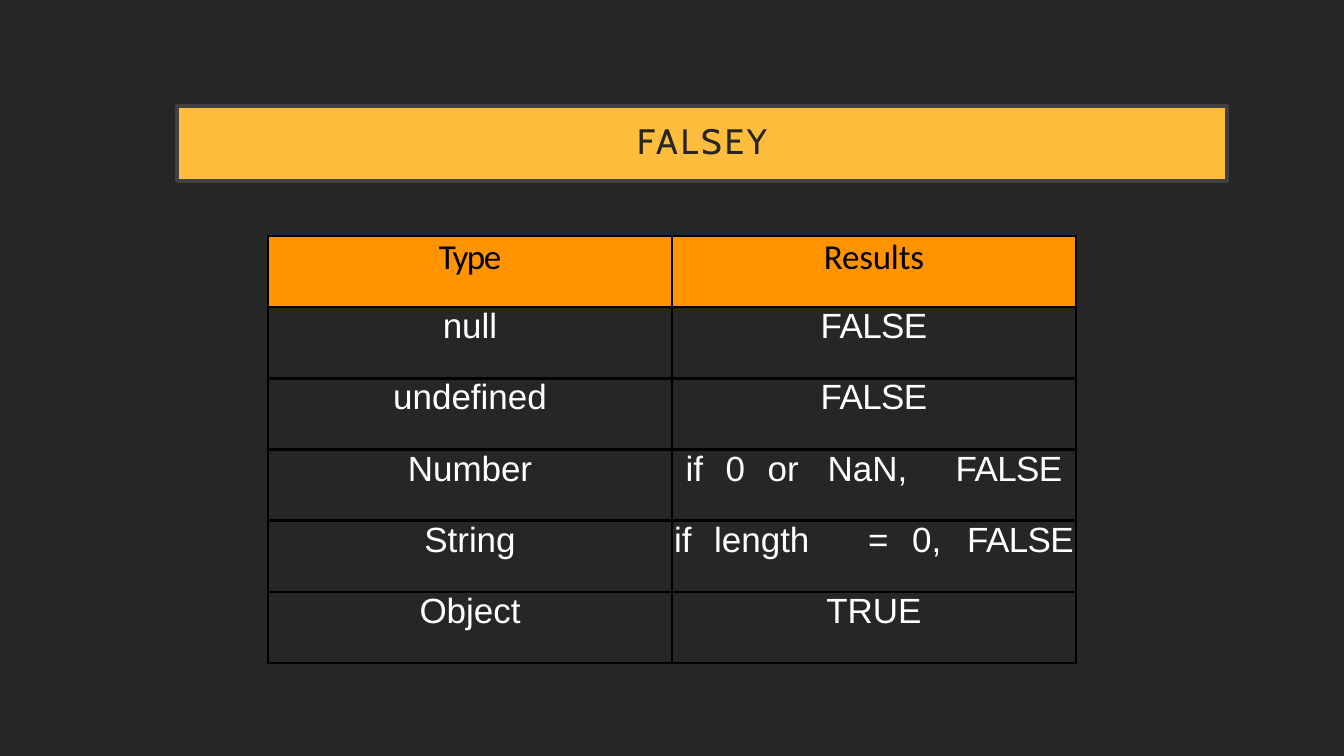
from lxml import etree
from pptx import Presentation
from pptx.dml.color import RGBColor
from pptx.enum.text import MSO_ANCHOR, MSO_AUTO_SIZE, PP_ALIGN
from pptx.oxml.ns import qn
from pptx.util import Pt

CENTER = PP_ALIGN.CENTER
MIDDLE = MSO_ANCHOR.MIDDLE
NO_AUTOFIT = MSO_AUTO_SIZE.NONE
TITLE_ONLY = 5
EMU_PER_INCH, PX_PER_INCH = 914400, 100.8

DARK, BLACK, WHITE = "262626", "000000", "FFFFFF"
BANNER, BANNER_EDGE, HEADER = "FFBD3D", "404040", "FF9300"

# Each result is a list of runs
FALSEY_ROWS = [
    ("Type", ["Results"]),
    ("null", ["FALSE"]),
    ("undefined", ["FALSE"]),
    ("Number", ["if\t0\tor\tNaN,\t", "FALSE"]),
    ("String", ["if\tlength\t=\t0,\t", "FALSE"]),
    ("Object", ["TRUE"]),
]
TAB_STOPS = {"Number": [40, 82, 142, 270], "String": [40, 194, 238, 293]}
# Letter spacing in hundredths of a point
TRACKING = {"FALSEY": 200, "Type": -110, "Results": -10, "FALSE": -40}


def px(length):
    return round(length * EMU_PER_INCH / PX_PER_INCH)


def rgb(value):
    return RGBColor.from_string(value)


def style_run(run, font_name, size, color):
    run.font.name = font_name
    run.font.size = Pt(size)
    run.font.color.rgb = rgb(color)
    run.font.bold = False
    run.font._element.set("spc", str(TRACKING.get(run.text, 0)))


def add_tab_stops(paragraph, stops):
    tab_list = etree.SubElement(paragraph._p.get_or_add_pPr(), qn("a:tabLst"))
    for stop in stops:
        etree.SubElement(tab_list, qn("a:tab"), pos=str(px(stop)), algn="l")


def add_borders(cell, color, width):
    """Borders come ahead of the fill in the cell properties."""
    properties = cell._tc.get_or_add_tcPr()
    for index, side in enumerate(("lnL", "lnR", "lnT", "lnB")):
        border = etree.Element(qn(f"a:{side}"), w=str(Pt(width)))
        fill = etree.SubElement(border, qn("a:solidFill"))
        etree.SubElement(fill, qn("a:srgbClr"), val=color)
        properties.insert(index, border)


def fill_cell(cell, runs, is_header, stops):
    cell.margin_left = cell.margin_right = 0
    cell.margin_top = cell.margin_bottom = 0
    if is_header:
        cell.fill.solid()
        cell.fill.fore_color.rgb = rgb(HEADER)
    else:
        cell.fill.background()
    add_borders(cell, BLACK, 2)

    paragraph = cell.text_frame.paragraphs[0]
    paragraph.alignment = CENTER
    if stops:
        add_tab_stops(paragraph, stops)
    for text in runs:
        run = paragraph.add_run()
        run.text = text
        if is_header:
            style_run(run, "Calibri", 25, BLACK)
        else:
            style_run(run, "Arial", 25, WHITE)


def place_banner(slide, left, top, width, height):
    banner = slide.shapes.title
    banner.left, banner.top = px(left), px(top)
    banner.width, banner.height = px(width), px(height)
    banner.fill.solid()
    banner.fill.fore_color.rgb = rgb(BANNER)
    banner.line.color.rgb = rgb(BANNER_EDGE)
    banner.line.width = Pt(2.5)

    frame = banner.text_frame
    frame.text = "FALSEY"
    frame.word_wrap = True
    frame.auto_size = NO_AUTOFIT
    frame.vertical_anchor = MIDDLE
    frame.margin_left = frame.margin_right = px(20)
    frame.margin_top = frame.margin_bottom = px(20)
    heading = frame.paragraphs[0]
    heading.alignment = CENTER
    heading.line_spacing = 0.9
    style_run(heading.runs[0], "Cabin", 25.2, DARK)


def place_falsey_table(slide, left, top, width, height):
    table = slide.shapes.add_table(
        len(FALSEY_ROWS), 2, px(left), px(top), px(width), px(height)
    ).table
    table.first_row = table.horz_banding = False
    for column in table.columns:
        column.width = px(width / 2)
    for index, (kind, result) in enumerate(FALSEY_ROWS):
        table.rows[index].height = px(height / len(FALSEY_ROWS))
        is_header = index == 0
        fill_cell(table.cell(index, 0), [kind], is_header, None)
        fill_cell(table.cell(index, 1), result, is_header, TAB_STOPS.get(kind))


def main():
    deck = Presentation()
    deck.slide_width, deck.slide_height = px(1344), px(756)
    slide = deck.slides.add_slide(deck.slide_layouts[TITLE_ONLY])
    slide.background.fill.solid()
    slide.background.fill.fore_color.rgb = rgb(DARK)

    place_banner(slide, 177, 106, 1050, 75)
    place_falsey_table(slide, 268, 236, 808, 427)
    deck.save("out.pptx")


if __name__ == "__main__":
    main()
